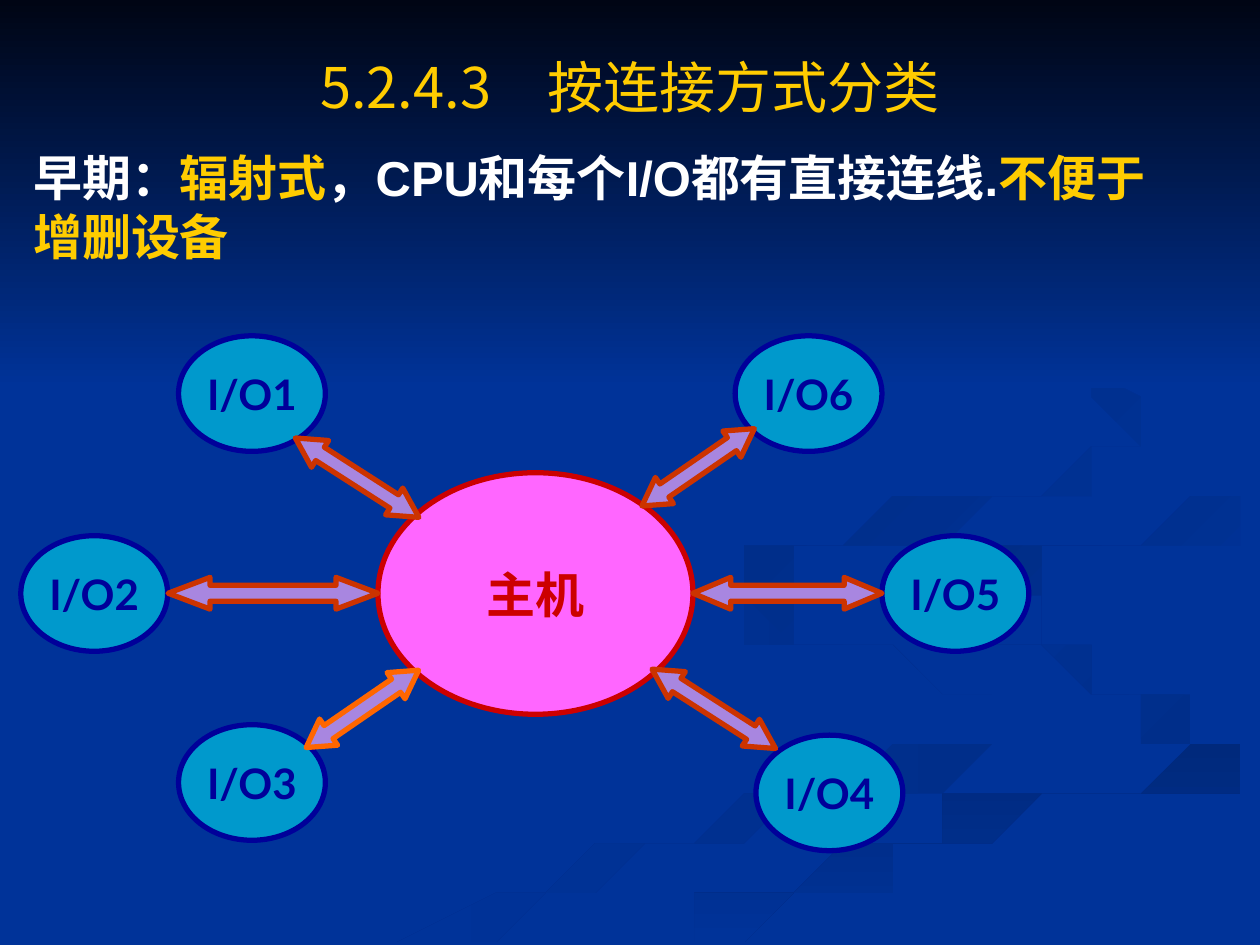
import pptx
import pptx.dml.color
import pptx.enum.shapes
import pptx.enum.text
import pptx.oxml
import pptx.oxml.ns
import pptx.util
from pptx.util import Cm

COLORS = {
    "background": "003399", "night": "000514", "shade1": "002E8A", "shade2": "00297C",
    "shade3": "002C85", "shade4": "002B81", "gold": "FFCC00", "white": "FFFFFF",
    "host": "FF66FF", "red": "CC0000", "device": "0099CC", "navy": "000099",
    "arrow": "A886E0", "rust": "CC3300", "orange": "FF6600",
}
CJK_FONT = "Noto Sans CJK SC"
SHAPES = pptx.enum.shapes.MSO_SHAPE
ALIGN = pptx.enum.text.PP_ALIGN
ANCHOR = pptx.enum.text.MSO_ANCHOR

# Ribbons: first colour, last colour, gradient angle, then the two edges in cm
RIBBONS = [
    ("shade1", "background", 180,
     [(14.6, 11.7), (15.5, 12.6), (19.1, 13.8), (19.8, 14.8), (14.7, 16.2), (7.6, 19)],
     [(9.2, 19), (14.3, 16.9), (19.8, 15.4), (19.8, 14), (15.6, 12.7), (14.6, 11.7)]),
    ("shade1", "background", 225,
     [(18.4, 11.8), (19.3, 12.7), (22.4, 13.6), (23.9, 14.5), (22.7, 15.4)],
     [(23.3, 14.8), (22, 13.8), (19, 12.7), (18.4, 11.8)]),
    ("shade2", "background", 90,
     [(12.8, 19), (16, 17.6), (19.4, 16.4), (25.4, 14.8)],
     [(25.4, 15.5), (20.9, 16.5), (17, 17.8), (14.5, 19)]),
    ("background", "shade3", 225,
     [(21, 12.6), (19.8, 11.7), (21.6, 10.8), (25.4, 10.2)],
     [(25.4, 10.7), (22.3, 11.1), (20.5, 11.9), (21, 12.6)]),
    ("background", "shade4", 225,
     [(15.8, 12.7), (14.7, 11.7), (16.5, 10.7), (21.4, 9.6), (22.5, 8.3), (19.4, 5.9)],
     [(22.6, 8.2), (22, 9.7), (17.3, 10.9), (15.1, 11.8), (15.8, 12.7)]),
]

# Left and top of each device in cm
DEVICES = {
    "I/O1": (3.6, 6.77), "I/O2": (0.42, 10.8), "I/O3": (3.6, 14.61),
    "I/O4": (15.24, 14.82), "I/O5": (17.78, 10.8), "I/O6": (14.82, 6.77),
}

# Left, top and length of each arrow in cm, rotation and outline
ARROWS = [
    (3.39, 11.64, 4.23, 0, "rust"),
    (13.97, 11.64, 3.81, 0, "rust"),
    (5.93, 13.97, 2.75, 325.5, "orange"),
    (12.7, 9.1, 2.75, 325.5, "rust"),
    (12.91, 13.97, 2.96, 32.7, "rust"),
    (5.72, 9.31, 2.96, 32.7, "rust"),
]
ARROW_HEIGHT = 0.64


def rgb(name):
    return pptx.dml.color.RGBColor.from_string(COLORS[name])


def write_text(shape, runs, size=24, font="Lato", bold=False, align=ALIGN.LEFT,
               anchor=ANCHOR.TOP, wrap=True, line_spacing=None):
    """Fill a shape with one paragraph of (text, colour) runs."""
    frame = shape.text_frame
    frame.word_wrap = wrap
    frame.vertical_anchor = anchor
    paragraph = frame.paragraphs[0]
    paragraph.alignment = align
    if line_spacing:
        paragraph.line_spacing = pptx.util.Pt(line_spacing)
    for text, color in runs:
        run = paragraph.add_run()
        run.text = text
        run.font.size = pptx.util.Pt(size)
        run.font.bold = bold
        run.font.name = font
        run.font.color.rgb = rgb(color)
        east_asian = pptx.oxml.parse_xml(
            f'<a:ea {pptx.oxml.ns.nsdecls("a")} typeface="{CJK_FONT}"/>')
        run.font._element.append(east_asian)


def smooth(points, steps=6):
    """Run a Catmull-Rom curve through the points."""
    padded = [points[0], *points, points[-1]]
    curve = [points[0]]
    for before, start, end, after in zip(padded, padded[1:], padded[2:], padded[3:]):
        for step in range(1, steps + 1):
            t = step / steps
            curve.append(tuple(
                b + t / 2 * (c - a + t * (2 * a - 5 * b + 4 * c - d
                                          + t * (3 * b - 3 * c + d - a)))
                for a, b, c, d in zip(before, start, end, after)))
    return curve


def fill_gradient(shape, first, last, angle):
    shape.shadow.inherit = False
    shape.line.fill.background()
    shape.fill.gradient()
    shape.fill.gradient_angle = 360 - angle
    for stop, position, color in zip(shape.fill.gradient_stops, (0, 1), (first, last)):
        stop.position = position
        stop.color.rgb = rgb(color)


def add_ribbon(slide, first, last, angle, edge, return_edge):
    points = smooth(edge) + smooth(return_edge)
    builder = slide.shapes.build_freeform(*points[0], scale=Cm(1))
    builder.add_line_segments(points[1:], close=True)
    fill_gradient(builder.convert_to_shape(), first, last, angle)


def add_outlined(slide, kind, box, fill, line):
    shape = slide.shapes.add_shape(kind, *map(Cm, box))
    shape.shadow.inherit = False
    shape.fill.solid()
    shape.fill.fore_color.rgb = rgb(fill)
    shape.line.color.rgb = rgb(line)
    shape.line.width = pptx.util.Pt(3)
    return shape


def add_node(slide, text, box, fill, color, size):
    shape = add_outlined(slide, SHAPES.OVAL, box, fill, color)
    write_text(shape, [(text, color)], size=size, bold=True, align=ALIGN.CENTER,
               anchor=ANCHOR.MIDDLE, wrap=False)


def add_arrow(slide, left, top, length, rotation, line):
    box = (left, top, length, ARROW_HEIGHT)
    shape = add_outlined(slide, SHAPES.LEFT_RIGHT_ARROW, box, "arrow", line)
    shape.adjustments[0] = 0.5
    shape.adjustments[1] = 0.2 * length / ARROW_HEIGHT  # each head is a fifth of the arrow
    shape.rotation = rotation


def main():
    presentation = pptx.Presentation()
    presentation.slide_width, presentation.slide_height = Cm(25.4), Cm(19.05)
    slide = presentation.slides.add_slide(presentation.slide_layouts[6])

    # Background
    slide.background.fill.solid()
    slide.background.fill.fore_color.rgb = rgb("background")
    for ribbon in RIBBONS:
        add_ribbon(slide, *ribbon)
    sky = slide.shapes.add_shape(SHAPES.RECTANGLE, 0, 0, presentation.slide_width, Cm(7.82))
    fill_gradient(sky, "night", "background", 90)

    # Host, devices and their links
    add_node(slide, "主机", (7.62, 9.53, 6.35, 4.87), "host", "red", 28)
    for name, corner in DEVICES.items():
        add_node(slide, name, (*corner, 2.96, 2.33), "device", "navy", 24)
    for arrow in ARROWS:
        add_arrow(slide, *arrow)

    # Title
    title = slide.shapes.add_textbox(Cm(1.06), Cm(0.92), Cm(23.28), Cm(1.63))
    write_text(title, [("5.2.4.3　按连接方式分类", "gold")], size=32, font=CJK_FONT,
               align=ALIGN.CENTER, line_spacing=39)

    # Description
    description = slide.shapes.add_textbox(Cm(0.42), Cm(2.85), Cm(23.5), Cm(4.45))
    write_text(description, [
        ("早期：", "white"), ("辐射式", "gold"),
        ("，CPU和每个I/O都有直接连线.", "white"), ("不便于增删设备", "gold"),
    ], size=28, font="Arial", bold=True, line_spacing=33.7)

    presentation.save("out.pptx")


if __name__ == "__main__":
    main()
